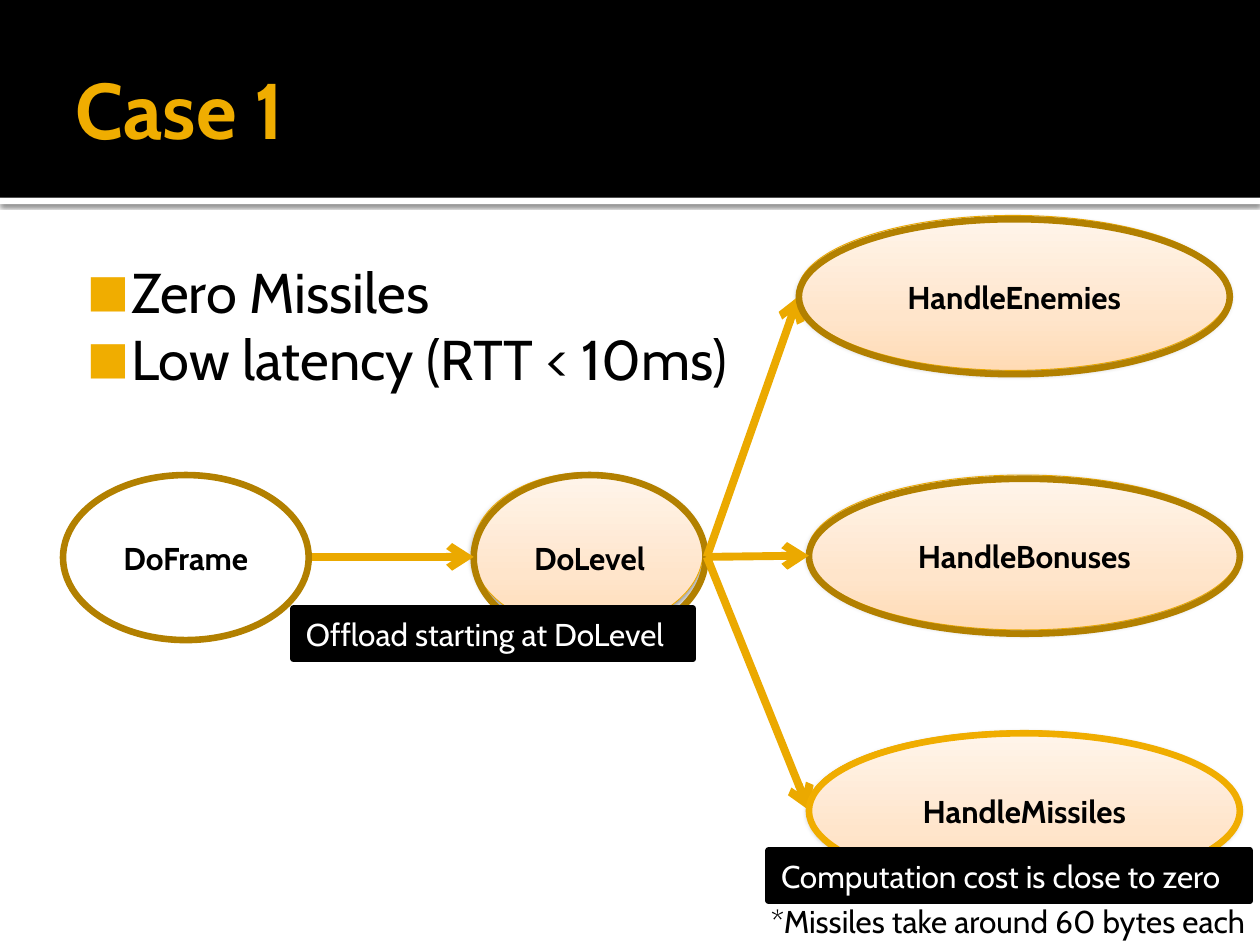
from pptx import Presentation
from pptx.dml.color import RGBColor
from pptx.enum.shapes import MSO_CONNECTOR, MSO_SHAPE
from pptx.enum.text import MSO_ANCHOR, MSO_AUTO_SIZE, PP_ALIGN
from pptx.oxml import parse_xml
from pptx.oxml.ns import nsdecls, qn
from pptx.util import Inches, Pt

FONT = "Cabin"
COLORS = {"black": "000000", "white": "FFFFFF", "gold": "F0AD00",
          "arrow": "EBA900", "outline": "B28000"}
GLOW = [(0, "FFDBB5"), (35, "FFE5CB"), (100, "FFF5EB")]


def rgb(name):
    return RGBColor.from_string(COLORS[name])


def xml(tag, attrs="", inner=""):
    return parse_xml(f"<a:{tag} {nsdecls('a')} {attrs}>{inner}</a:{tag}>")


class Deck:
    def __init__(self):
        self.prs = Presentation()
        self.prs.slide_width, self.prs.slide_height = Inches(10), Inches(7.5)
        self.s = self.prs.slides.add_slide(self.prs.slide_layouts[1])

    def run(self, p, text, size=18, color="black", bold=False):
        r = p.add_run()
        r.text = text
        r.font.name, r.font.size, r.font.bold = FONT, Pt(size), bold
        r.font.color.rgb = rgb(color)

    def insets(self, tf, left, top, right, bottom):
        tf.margin_left, tf.margin_top = Inches(left), Inches(top)
        tf.margin_right, tf.margin_bottom = Inches(right), Inches(bottom)

    def shape(self, kind, box, fill=None, line=None, width=3.78):
        sp = self.s.shapes.add_shape(kind, *map(Inches, box))
        sp.shadow.inherit = False
        if fill:
            sp.fill.solid()
            sp.fill.fore_color.rgb = rgb(fill)
        else:
            sp.fill.background()
        if line:
            sp.line.color.rgb = rgb(line)
            sp.line.width = Pt(width)
        else:
            sp.line.fill.background()
        return sp

    def shadow(self, sp, alpha, blur, dist):
        color = f'<a:srgbClr val="000000"><a:alpha val="{alpha * 1000}"/></a:srgbClr>'
        attrs = (f'blurRad="{Pt(blur)}" dist="{Pt(dist)}" dir="5400000" '
                 'algn="ctr" rotWithShape="0"')
        effects = sp.element.spPr.find(qn("a:effectLst"))
        effects.append(xml("outerShdw", attrs, color))

    def glow(self, box):
        sp = self.shape(MSO_SHAPE.OVAL, box, line="arrow", width=0.5)
        sp.fill.gradient()
        sp.fill.gradient_angle = 90
        stops = sp.element.spPr.find(".//" + qn("a:gsLst"))
        inner = "".join(f'<a:gs pos="{pos * 1000}"><a:srgbClr val="{c}"/></a:gs>'
                        for pos, c in GLOW)
        stops.getparent().replace(stops, xml("gsLst", "", inner))
        self.shadow(sp, 38, 3.5, 2)

    def node(self, text, box, line="outline", pad=0):
        tf = self.shape(MSO_SHAPE.OVAL, box, line=line).text_frame
        tf.vertical_anchor = MSO_ANCHOR.MIDDLE
        self.insets(tf, 0, pad, 0, pad)
        tf.paragraphs[0].alignment = PP_ALIGN.CENTER
        self.run(tf.paragraphs[0], text, bold=True)

    def arrow(self, start, end):
        c = self.s.shapes.add_connector(MSO_CONNECTOR.STRAIGHT,
                                        *map(Inches, start + end))
        c.line.color.rgb = rgb("arrow")
        c.line.width = Pt(4.5)
        spPr = c.element.spPr
        spPr.find(qn("a:ln")).append(xml("tailEnd", 'type="arrow"'))
        spPr.append(xml("effectLst"))

    def label(self, sp, text, color):
        tf = sp.text_frame
        tf.word_wrap = True
        tf.auto_size = MSO_AUTO_SIZE.SHAPE_TO_FIT_TEXT
        tf.vertical_anchor = MSO_ANCHOR.TOP
        tf.paragraphs[0].alignment = PP_ALIGN.LEFT
        self.run(tf.paragraphs[0], text, color=color)

    def callout(self, text, box):
        sp = self.shape(MSO_SHAPE.RECTANGLE, box, "black", "black")
        self.label(sp, text, "white")

    def note(self, text, box):
        self.label(self.s.shapes.add_textbox(*map(Inches, box)), text, "black")

    def placeholder(self, idx, box, anchor, pads):
        sp = self.s.placeholders[idx]
        sp.left, sp.top, sp.width, sp.height = map(Inches, box)
        sp.element.getparent().append(sp.element)  # bring to front
        tf = sp.text_frame
        tf.auto_size = MSO_AUTO_SIZE.NONE
        tf.vertical_anchor = anchor
        self.insets(tf, *pads)
        return tf

    def title(self, text, box):
        tf = self.placeholder(0, box, MSO_ANCHOR.MIDDLE, (0.1, 0.05, 0.05, 0.05))
        tf.paragraphs[0].alignment = PP_ALIGN.LEFT
        self.run(tf.paragraphs[0], text, 45, "gold", True)

    def bullets(self, items, box):
        tf = self.placeholder(1, box, MSO_ANCHOR.TOP, (0.06, 0.1, 0.1, 0.05))
        for i, text in enumerate(items):
            p = tf.add_paragraph() if i else tf.paragraphs[0]
            p.space_before = Pt(0)
            pPr = p._p.get_or_add_pPr()
            pPr.set("marL", str(Inches(0.48)))
            pPr.set("indent", str(Inches(-0.35)))
            pPr.append(xml("buClr", "", f'<a:srgbClr val="{COLORS["gold"]}"/>'))
            pPr.append(xml("buSzPct", 'val="80000"'))
            pPr.append(xml("buFont", f'typeface="{FONT}"'))
            pPr.append(xml("buChar", 'char="■"'))
            self.run(p, text, 32)


def main():
    d = Deck()

    # Header band
    strip = d.shape(MSO_SHAPE.RECTANGLE, (0, 1.57, 10, 0.05), "white")
    d.shadow(strip, 60, 2.5, 0.8)
    d.shape(MSO_SHAPE.RECTANGLE, (0, 0, 10, 1.57), "black")

    # Glow behind the offloaded calls
    d.glow((3.75, 3.75, 1.83, 1.25))
    for x, y in [(6.33, 1.71), (6.41, 3.77), (6.41, 5.8)]:
        d.glow((x, y, 3.42, 1.23))
    d.title("Case 1", (0.5, 0.17, 9, 1.37))

    # Call graph
    fork = (5.61, 4.42)
    d.node("DoLevel", (3.76, 3.77, 1.84, 1.31))
    d.arrow(fork, (6.42, 6.43))
    d.arrow(fork, (6.34, 2.35))
    d.arrow((2.45, 4.42), (3.76, 4.42))
    d.node("HandleMissiles", (6.42, 5.82, 3.42, 1.23), "gold", 0.1)
    d.node("DoFrame", (0.5, 3.77, 1.95, 1.31))
    d.node("HandleEnemies", (6.34, 1.74, 3.42, 1.23), pad=0.1)
    d.node("HandleBonuses", (6.42, 3.8, 3.42, 1.23), pad=0.1)
    d.arrow(fork, (6.42, 4.41))

    # Notes and callouts
    d.note("*Missiles take around 60 bytes each", (6.02, 7.11, 4.15, 0.4))
    d.bullets(["Zero Missiles", "Low latency (RTT < 10ms)"], (0.5, 1.94, 9, 1.39))
    d.callout("Computation cost is close to zero", (6.1, 6.75, 3.82, 0.4))
    d.callout("Offload starting at DoLevel", (2.33, 4.83, 3.17, 0.4))

    d.prs.save("out.pptx")


if __name__ == "__main__":
    main()
